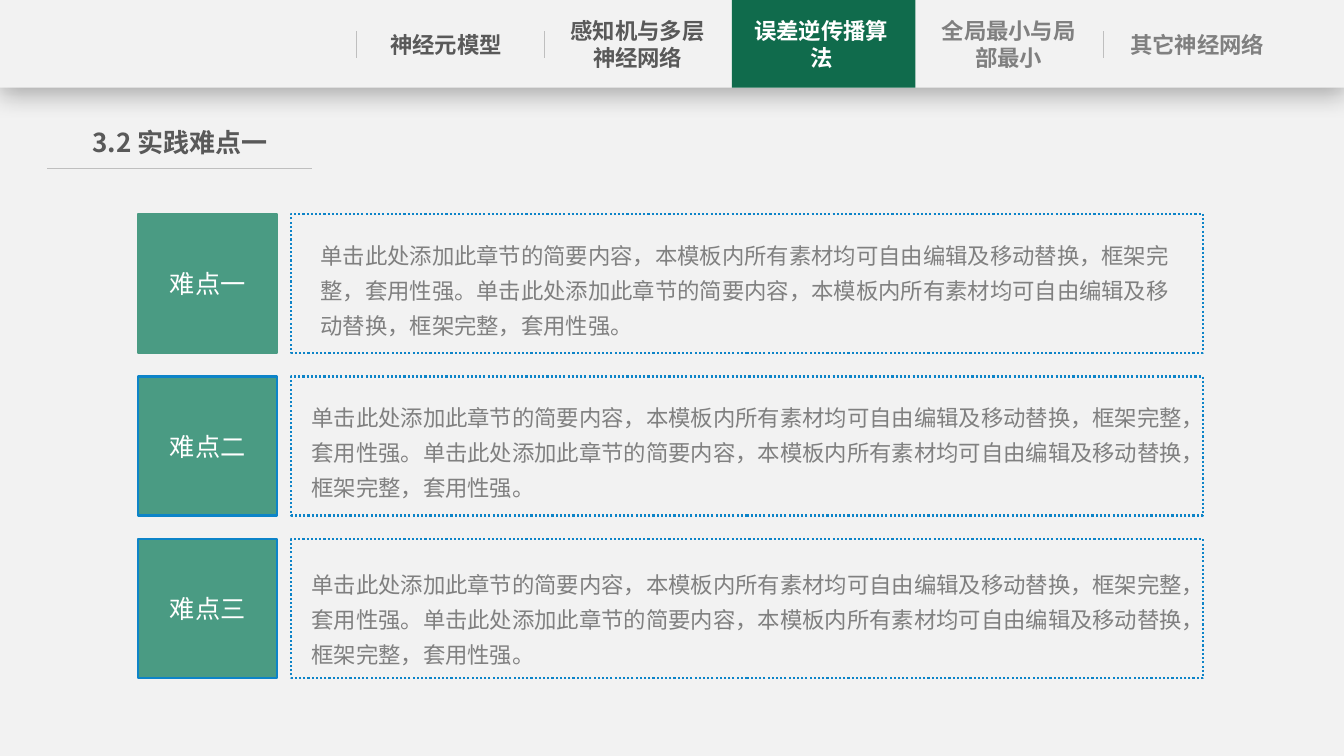
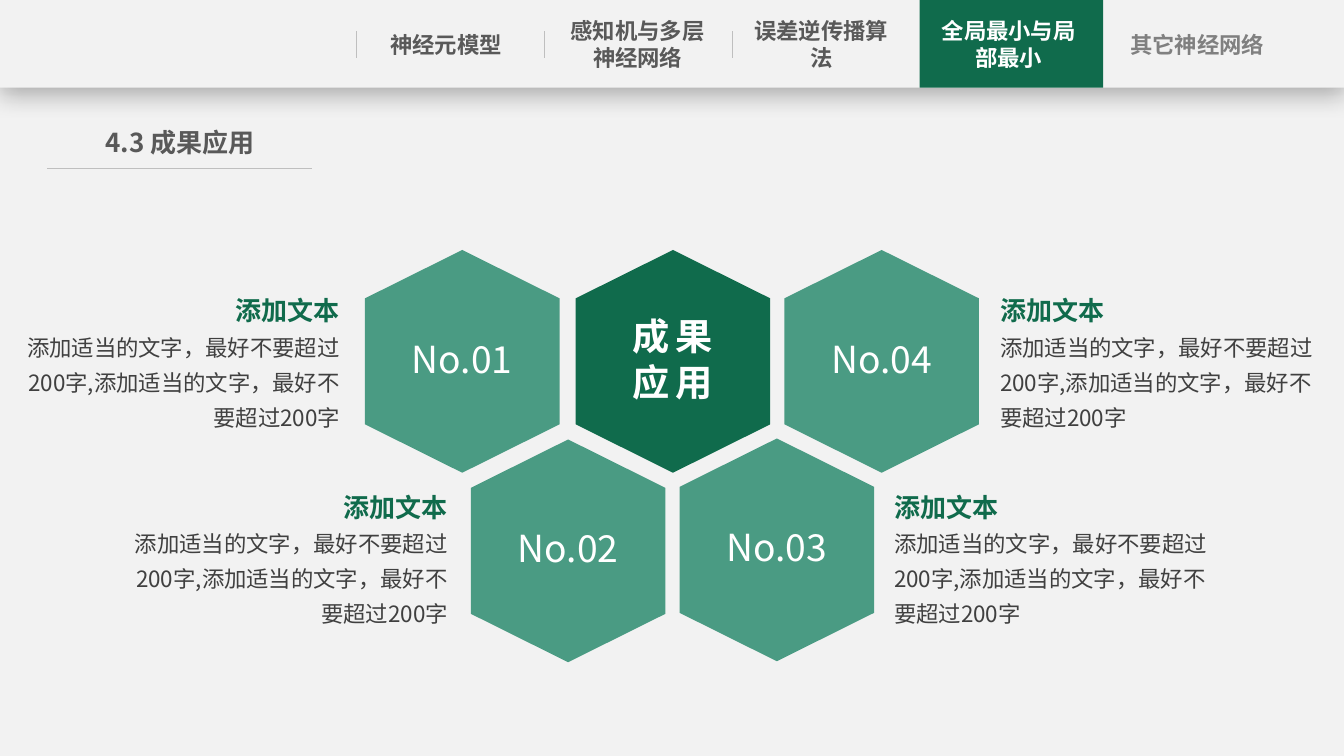
import lxml.etree
import pptx
import pptx.dml.color
import pptx.enum.dml
import pptx.enum.shapes
import pptx.enum.text
import pptx.oxml.ns
import pptx.util

Inches = pptx.util.Inches
qn = pptx.oxml.ns.qn
ALIGN = pptx.enum.text.PP_ALIGN
ANCHOR = pptx.enum.text.MSO_ANCHOR

FONT = "Noto Sans CJK SC"
COLORS = {
    "page": "F2F2F2", "dark_green": "106B4C", "green": "4A9B83",
    "blue": "0D84C8", "rule": "BFBFBF", "heading": "595959",
    "muted": "808080", "body": "404040", "white": "FFFFFF", "black": "000000",
}
RGB = {name: pptx.dml.color.RGBColor.from_string(value) for name, value in COLORS.items()}


def paint(shape, fill=None, line=None, dash=None):
    """Give a shape its fill and outline, without a shadow."""
    shape.shadow.inherit = False
    if fill:
        shape.fill.solid()
        shape.fill.fore_color.rgb = RGB[fill]
    else:
        shape.fill.background()
    if line:
        shape.line.color.rgb = RGB[line]
        shape.line.width = pptx.util.Pt(1.5)
        shape.line.dash_style = dash
    else:
        shape.line.fill.background()


def write(shape, text, size=16, color="white", bold=False, align=ALIGN.CENTER,
          anchor=ANCHOR.MIDDLE, inset=0.0, spacing=None, after=None, tracking=None):
    """Add one paragraph of text to a shape."""
    frame = shape.text_frame
    paragraph = frame.add_paragraph() if frame.text else frame.paragraphs[0]
    frame.word_wrap = True
    frame.vertical_anchor = anchor
    frame.margin_left = frame.margin_right = Inches(inset)
    frame.margin_top = frame.margin_bottom = Inches(0.05)
    paragraph.alignment = align
    paragraph.line_spacing = spacing
    if after:
        paragraph.space_after = pptx.util.Pt(after)
    run = paragraph.add_run()
    run.text = text
    run.font.size = pptx.util.Pt(size)
    run.font.bold = bold
    run.font.color.rgb = RGB[color]
    run.font.name = FONT
    properties = run.font._element
    lxml.etree.SubElement(properties, qn("a:ea")).set("typeface", FONT)
    if tracking:
        properties.set("spc", str(tracking * 100))


prs = pptx.Presentation()
prs.slide_width, prs.slide_height = Inches(13.33), Inches(7.5)
RECT = pptx.enum.shapes.MSO_SHAPE.RECTANGLE

# Shared background
backdrop = prs.slide_master.background.fill
backdrop.solid()
backdrop.fore_color.rgb = RGB["page"]

# Shared navigation: left edge of tab, left edge of label, label
BAR_HEIGHT = 0.87
TABS = [
    (3.53, 3.69, "神经元模型"),
    (5.4, 5.59, "感知机与多层神经网络"),
    (7.26, 7.41, "误差逆传播算法"),
    (9.12, 9.27, "全局最小与局部最小"),
    (10.94, 11.14, "其它神经网络"),
]

slides = []
for heading, active in [("3.2 实践难点一", 2), ("4.3 成果应用", 3)]:
    slide = prs.slides.add_slide(prs.slide_layouts[6])
    slides.append(slide)

    # Navigation bar with soft shadow
    bar = slide.shapes.add_shape(RECT, 0, 0, prs.slide_width, Inches(BAR_HEIGHT))
    paint(bar, "page")
    effects = bar._element.spPr.find(qn("a:effectLst"))
    shadow = lxml.etree.SubElement(
        effects, qn("a:outerShdw"), blurRad=str(pptx.util.Pt(18)),
        dist=str(pptx.util.Pt(4)), dir="5400000", algn="t", rotWithShape="0")
    tint = lxml.etree.SubElement(shadow, qn("a:srgbClr"), val=COLORS["black"])
    lxml.etree.SubElement(tint, qn("a:alpha"), val="29000")

    # Active tab
    active_tab = slide.shapes.add_shape(
        RECT, Inches(TABS[active][0]), 0, Inches(1.82), Inches(BAR_HEIGHT))
    paint(active_tab, "dark_green")

    # Heading rule, and separators except beside the active tab
    rules = [(0.47, 1.67, 3.09, 1.67)]
    rules += [(left, 0.31, left, 0.58) for i, (left, _, _) in enumerate(TABS)
              if i not in (active, active + 1)]
    for ends in rules:
        rule = slide.shapes.add_connector(
            pptx.enum.shapes.MSO_CONNECTOR.STRAIGHT, *map(Inches, ends))
        rule.line.color.rgb = RGB["rule"]
        rule.line.width = pptx.util.Pt(0.5)
        lxml.etree.SubElement(rule._element.spPr, qn("a:effectLst"))

    # Tab labels
    for i, (_, left, text) in enumerate(TABS):
        label = slide.shapes.add_textbox(Inches(left), Inches(0.12), Inches(1.47), Inches(0.64))
        color = "heading" if i < active else "white" if i == active else "muted"
        write(label, text, color=color, bold=True)

    # Heading
    title = slide.shapes.add_textbox(Inches(0.75), Inches(1.21), Inches(2.07), Inches(0.42))
    write(title, heading, size=18.6, color="heading", bold=True, anchor=ANCHOR.TOP)

difficulties, results = slides

# Difficulties: a square and a dotted panel in each row
SENTENCE = "单击此处添加此章节的简要内容，本模板内所有素材均可自由编辑及移动替换，框架完整，套用性强。"
ROWS = [
    ("难点一", "green", 3.08, 2.27, 8.74),
    ("难点二", "blue", 2.99, 3.88, 8.85),
    ("难点三", "blue", 2.99, 5.54, 8.85),
]
SIDE = 1.38
for i, (name, outline, left, top, width) in enumerate(ROWS):
    row_top = Inches(2.12 + 1.615 * i)
    square = difficulties.shapes.add_shape(
        RECT, Inches(1.37), row_top, Inches(SIDE), Inches(SIDE))
    paint(square, "green", outline)
    write(square, name, size=18, inset=0.1)
    panel = difficulties.shapes.add_shape(
        RECT, Inches(2.89), row_top, Inches(9.04), Inches(SIDE))
    paint(panel, line="blue", dash=pptx.enum.dml.MSO_LINE.ROUND_DOT)
    details = difficulties.shapes.add_textbox(
        Inches(left), Inches(top), Inches(width), Inches(1.15))
    write(details, SENTENCE * 2, color="muted", align=ALIGN.LEFT,
          anchor=ANCHOR.TOP, inset=0.1, spacing=1.3)

# Results: honeycomb of hexagons
HEX_WIDTH, HEX_HEIGHT, HEX_SHOULDER = 1.93, 2.21, 0.48
HEXAGONS = [
    (3.62, 2.48, ["No.01"]),
    (4.67, 4.36, ["No.02"]),
    (6.74, 4.35, ["No.03"]),
    (7.78, 2.48, ["No.04"]),
    (5.71, 2.48, ["成果", "应用"]),
]
for left, top, words in HEXAGONS:
    middle, right = left + HEX_WIDTH / 2, left + HEX_WIDTH
    upper, bottom = top + HEX_SHOULDER, top + HEX_HEIGHT
    lower = bottom - HEX_SHOULDER
    outline = results.shapes.build_freeform(Inches(middle), Inches(top))
    outline.add_line_segments([
        (Inches(x), Inches(y)) for x, y in
        [(right, upper), (right, lower), (middle, bottom), (left, lower), (left, upper)]])
    hexagon = outline.convert_to_shape()
    central = len(words) > 1
    paint(hexagon, "dark_green" if central else "green")
    for word in words:
        write(hexagon, word, size=26.6, bold=central, spacing=0.9, after=4,
              tracking=4 if central else None)

# Results: captions beside the hexagons
CAPTIONS = [
    (0.16, 2.79, ALIGN.RIGHT), (1.23, 4.74, ALIGN.RIGHT),
    (8.77, 4.74, ALIGN.LEFT), (9.82, 2.79, ALIGN.LEFT),
]
for left, top, align in CAPTIONS:
    caption = results.shapes.add_textbox(Inches(left), Inches(top), Inches(3.31), Inches(1.52))
    write(caption, "添加文本", size=18.6, color="dark_green", bold=True,
          align=align, inset=0.1, spacing=1.3)
    write(caption, "添加适当的文字，最好不要超过200字,添加适当的文字，最好不要超过200字",
          color="body", align=align, inset=0.1, spacing=1.3)

prs.save("out.pptx")
